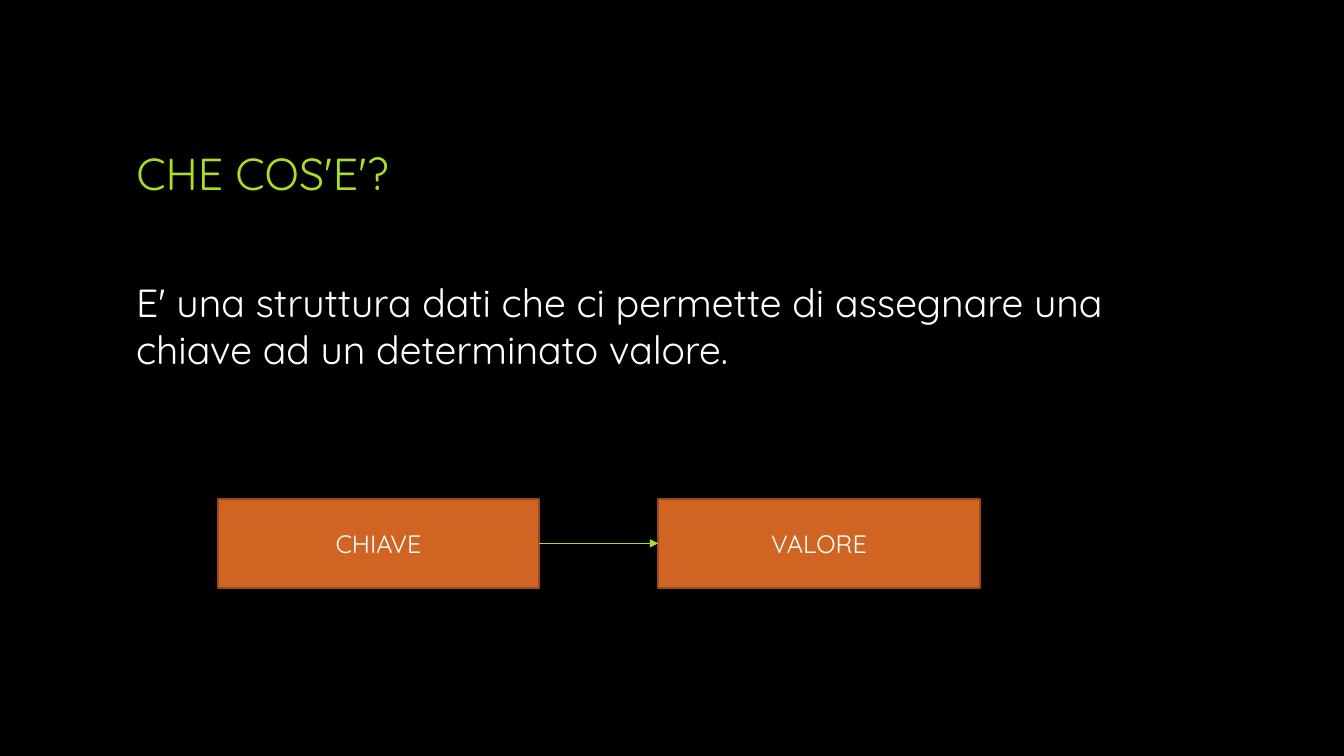
from lxml import etree
from pptx import Presentation
from pptx.dml.color import RGBColor
from pptx.enum.shapes import MSO_CONNECTOR, MSO_SHAPE
from pptx.enum.text import MSO_ANCHOR, MSO_AUTO_SIZE, PP_ALIGN
from pptx.oxml.ns import qn
from pptx.util import Cm, Pt

BLACK = RGBColor(0x00, 0x00, 0x00)
WHITE = RGBColor(0xFF, 0xFF, 0xFF)
LIME = RGBColor(0xA9, 0xE0, 0x23)
ORANGE = RGBColor(0xD0, 0x64, 0x23)
BROWN = RGBColor(0x9A, 0x4A, 0x1A)

MARGIN = 3.18
BOX_LEFT, BOX_TOP, BOX_WIDTH, BOX_HEIGHT = 5.49, 12.57, 8.1, 2.24
BOX_PITCH = 11.1


class SlideBuilder:
    font_name = "Quicksand"

    def __init__(self, slide):
        self.slide = slide
        fill = slide.background.fill
        fill.solid()
        fill.fore_color.rgb = BLACK

    def set_text(self, sp, text, size, color, align=PP_ALIGN.LEFT, anchor=MSO_ANCHOR.MIDDLE):
        tf = sp.text_frame
        tf.text = text
        tf.word_wrap = True
        tf.vertical_anchor = anchor
        p = tf.paragraphs[0]
        p.alignment = align
        font = p.runs[0].font
        font.name = self.font_name
        font.size = Pt(size)
        font.color.rgb = color

    def title(self, text, *box):
        sp = self.slide.shapes.title
        sp.left, sp.top, sp.width, sp.height = map(Cm, box)
        self.set_text(sp, text, 32, LIME)
        sp.text_frame.auto_size = MSO_AUTO_SIZE.NONE

    def text(self, text, *box):
        sp = self.slide.shapes.add_textbox(*map(Cm, box))
        self.set_text(sp, text, 28, WHITE, anchor=MSO_ANCHOR.TOP)
        sp.text_frame.auto_size = MSO_AUTO_SIZE.SHAPE_TO_FIT_TEXT

    def box(self, text, *box):
        sp = self.slide.shapes.add_shape(MSO_SHAPE.RECTANGLE, *map(Cm, box))
        sp.shadow.inherit = False
        sp.fill.solid()
        sp.fill.fore_color.rgb = ORANGE
        sp.line.color.rgb = BROWN
        sp.line.width = Pt(1.5)
        self.set_text(sp, text, 18, WHITE, align=PP_ALIGN.CENTER)
        return sp

    def arrow(self, start, end):
        connector = self.slide.shapes.add_connector(MSO_CONNECTOR.STRAIGHT, 0, 0, 0, 0)
        connector.begin_connect(start, 3)
        connector.end_connect(end, 1)
        connector.line.color.rgb = LIME
        connector.line.width = Pt(0.75)
        props = connector._element.spPr
        etree.SubElement(props.find(qn("a:ln")), qn("a:tailEnd"), type="triangle")
        etree.SubElement(props, qn("a:effectLst"))


def main():
    prs = Presentation()
    prs.slide_width, prs.slide_height = Cm(33.87), Cm(19.05)
    s = SlideBuilder(prs.slides.add_slide(prs.slide_layouts[5]))
    s.title("CHE COS'E'?", MARGIN, 1.7, 27.51, 5.28)
    s.text("E' una struttura dati che ci permette di assegnare una chiave ad un determinato valore.",
           MARGIN, 6.88, 26.82, 2.64)
    key, value = [
        s.box(label, BOX_LEFT + i * BOX_PITCH, BOX_TOP, BOX_WIDTH, BOX_HEIGHT)
        for i, label in enumerate(("CHIAVE", "VALORE"))
    ]
    s.arrow(key, value)
    prs.save("out.pptx")


if __name__ == "__main__":
    main()
